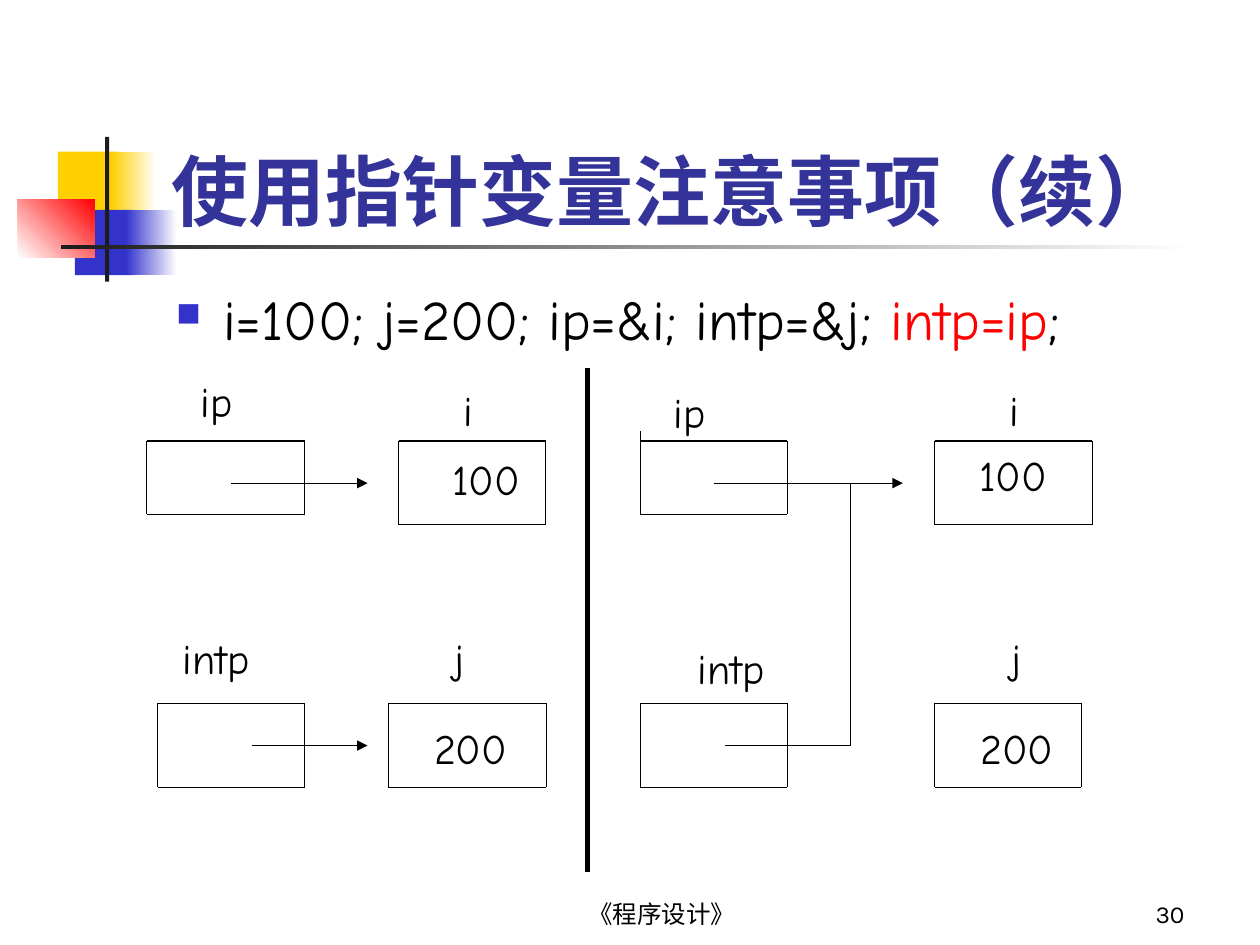
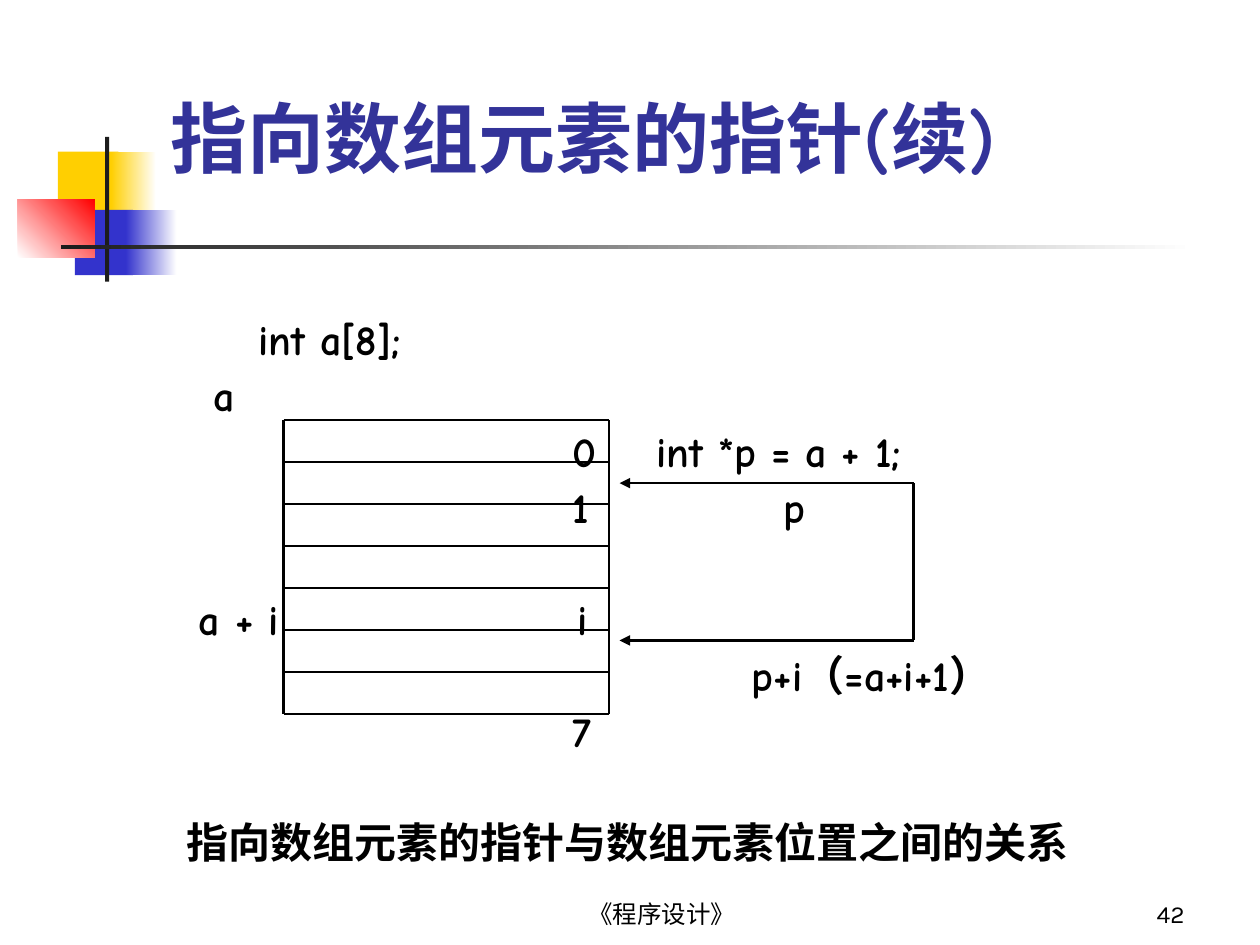
from dataclasses import dataclass

from lxml import etree
from pptx import Presentation
from pptx.dml.color import RGBColor
from pptx.enum.shapes import MSO_CONNECTOR, MSO_SHAPE
from pptx.enum.text import MSO_ANCHOR, PP_ALIGN
from pptx.oxml.ns import qn
from pptx.slide import Slide
from pptx.text.text import _Paragraph as Paragraph
from pptx.util import Cm, Pt

RECTANGLE = MSO_SHAPE.RECTANGLE
STRAIGHT = MSO_CONNECTOR.STRAIGHT
TOP, BOTTOM = MSO_ANCHOR.TOP, MSO_ANCHOR.BOTTOM
LEFT, CENTER, RIGHT = PP_ALIGN.LEFT, PP_ALIGN.CENTER, PP_ALIGN.RIGHT

BLACK = RGBColor(0x00, 0x00, 0x00)
WHITE = RGBColor(0xFF, 0xFF, 0xFF)
INK = RGBColor(0x1C, 0x1C, 0x1C)
YELLOW = RGBColor(0xFF, 0xCF, 0x01)
BLUE = RGBColor(0x33, 0x33, 0xCC)
RED = RGBColor(0xFF, 0x00, 0x00)
TITLE_BLUE = RGBColor(0x33, 0x33, 0x99)

CODE_FONT = "Comic Neue"
CHINESE_FONT = "Noto Sans CJK SC"
FOOTER_FONT = "Karla"
TITLE_ONLY = 5


# All positions and lengths below are in centimetres.
@dataclass(frozen=True)
class Box:
    left: float
    top: float
    width: float
    height: float


@dataclass(frozen=True)
class Band:
    box: Box
    start: RGBColor
    end: RGBColor | None = None
    angle: int = 0


@dataclass(frozen=True)
class Label:
    text: str
    left: float
    top: float
    width: float


@dataclass(frozen=True)
class Line:
    x1: float
    y1: float
    x2: float
    y2: float
    arrow: bool = False
    weight: float = 0.75


@dataclass(frozen=True)
class TextStyle:
    size: float = 24
    font: str = CODE_FONT
    color: RGBColor = BLACK
    bold: bool = False
    align: PP_ALIGN = LEFT
    anchor: MSO_ANCHOR = TOP


CODE = TextStyle()
BOLD_CODE = TextStyle(bold=True)
CAPTION = TextStyle(font=CHINESE_FONT, bold=True)

BANDS = [
    Band(Box(1.17, 3.06, 1.22, 1.32), YELLOW),
    Band(Box(2.24, 3.06, 0.91, 1.32), YELLOW, WHITE),
    Band(Box(1.51, 4.23, 1.17, 1.32), BLUE),
    Band(Box(2.54, 4.23, 1.02, 1.32), BLUE, WHITE),
    Band(Box(0.36, 4.02, 1.55, 1.17), WHITE, RED, 45),
    Band(Box(2.12, 2.76, 0.08, 2.92), INK),
    Band(Box(1.23, 4.94, 22.86, 0.09), INK, WHITE),
]


def place(shape, box: Box) -> None:
    shape.left, shape.top = Cm(box.left), Cm(box.top)
    shape.width, shape.height = Cm(box.width), Cm(box.height)


def style_paragraph(paragraph: Paragraph, style: TextStyle) -> None:
    paragraph.alignment = style.align
    font = paragraph.font
    font.name, font.size, font.bold = style.font, Pt(style.size), style.bold
    font.color.rgb = style.color


def fill_text(shape, text: str, style: TextStyle) -> None:
    frame = shape.text_frame
    frame.word_wrap = True
    frame.vertical_anchor = style.anchor
    paragraph = frame.paragraphs[0]
    paragraph.text = text
    style_paragraph(paragraph, style)


def add_text(slide: Slide, text: str, box: Box, style: TextStyle) -> None:
    shape = slide.shapes.add_textbox(0, 0, 0, 0)
    place(shape, box)
    fill_text(shape, text, style)


def add_label(slide: Slide, label: Label, style: TextStyle = CODE) -> None:
    add_text(slide, label.text, Box(label.left, label.top, label.width, 1.27), style)


def add_band(slide: Slide, band: Band) -> None:
    shape = slide.shapes.add_shape(RECTANGLE, 0, 0, 0, 0)
    place(shape, band.box)
    shape.shadow.inherit = False
    shape.line.fill.background()
    if band.end is None:
        shape.fill.solid()
        shape.fill.fore_color.rgb = band.start
        return
    shape.fill.gradient()
    shape.fill.gradient_angle = band.angle
    for stop, color in zip(shape.fill.gradient_stops, (band.start, band.end)):
        stop.color.rgb = color


def add_line(slide: Slide, line: Line) -> None:
    connector = slide.shapes.add_connector(
        STRAIGHT, Cm(line.x1), Cm(line.y1), Cm(line.x2), Cm(line.y2))
    connector.line.color.rgb = BLACK
    connector.line.width = Pt(line.weight)
    if line.arrow:
        outline = connector.line._get_or_add_ln()
        etree.SubElement(outline, qn("a:tailEnd"), type="triangle")
    etree.SubElement(connector._element.spPr, qn("a:effectLst"))


def add_cell(slide: Slide, box: Box, overshoot: float = 0) -> None:
    """Draw a cell side by side; its left side may rise above the top."""
    right, bottom = box.left + box.width, box.top + box.height
    for side in (Line(box.left, box.top, right, box.top),
                 Line(right, box.top, right, bottom),
                 Line(right, bottom, box.left, bottom),
                 Line(box.left, bottom, box.left, box.top - overshoot)):
        add_line(slide, side)


def add_bullet(paragraph: Paragraph) -> None:
    properties = paragraph._p.get_or_add_pPr()
    properties.set("marL", str(Cm(0.95)))
    properties.set("indent", str(Cm(-0.95)))
    color = etree.SubElement(properties, qn("a:buClr"))
    etree.SubElement(color, qn("a:srgbClr"), val=str(BLUE))
    etree.SubElement(properties, qn("a:buSzPct"), val="60000")
    # The letter n is a filled square in Wingdings
    etree.SubElement(properties, qn("a:buFont"), typeface="Wingdings", charset="2")
    etree.SubElement(properties, qn("a:buChar"), char="n")


def add_slide(presentation, title: str, title_box: Box, style: TextStyle,
              number: int) -> Slide:
    """Add a slide with the shared bands, title and footer."""
    slide = presentation.slides.add_slide(presentation.slide_layouts[TITLE_ONLY])
    for band in BANDS:
        add_band(slide, band)
    place(slide.shapes.title, title_box)
    fill_text(slide.shapes.title, title, style)
    for text, left, width, align in (("《程序设计》", 9.32, 8.05, CENTER),
                                     (str(number), 18.84, 5.29, RIGHT)):
        add_text(slide, text, Box(left, 17.57, width, 1.27),
                 TextStyle(14, FOOTER_FONT, align=align, anchor=BOTTOM))
    return slide


def build_pointer_assignment(presentation) -> None:
    style = TextStyle(44, CHINESE_FONT, TITLE_BLUE, True, anchor=BOTTOM)
    slide = add_slide(presentation, "使用指针变量注意事项（续）",
                      Box(3.2, 1.7, 21.64, 3.18), style, 30)

    # Statements, with the pointer assignment in red
    statement = slide.shapes.add_textbox(0, 0, 0, 0)
    place(statement, Box(3.3, 5.61, 21.59, 11.43))
    statement.text_frame.word_wrap = True
    paragraph = statement.text_frame.paragraphs[0]
    add_bullet(paragraph)
    style_paragraph(paragraph, TextStyle(32))
    for text, color in (("i=100; j=200; ip=&i; intp=&j; ", BLACK),
                        ("intp=ip", RED), (";", BLACK)):
        run = paragraph.add_run()
        run.text = text
        run.font.color.rgb = color

    # Memory cells: before on the left, after on the right
    upper, lower = 8.89, 14.18
    for cell in (
        Box(2.96, upper, 3.18, 1.48), Box(8.04, upper, 2.96, 1.69),
        Box(18.84, upper, 3.18, 1.69),
        Box(3.18, lower, 2.96, 1.69), Box(7.83, lower, 3.18, 1.69),
        Box(12.91, lower, 2.96, 1.69), Box(18.84, lower, 2.96, 1.69),
    ):
        add_cell(slide, cell)
    add_cell(slide, Box(12.91, upper, 2.96, 1.48), overshoot=0.21)

    # Pointers and the divider
    upper_arrow, lower_arrow, join = 9.74, 15.03, 17.15
    for line in (
        Line(4.66, upper_arrow, 7.41, upper_arrow, arrow=True),
        Line(14.39, upper_arrow, 18.2, upper_arrow, arrow=True),
        Line(5.08, lower_arrow, 7.41, lower_arrow, arrow=True),
        Line(14.61, lower_arrow, join, lower_arrow),
        Line(join, lower_arrow, join, upper_arrow),
        Line(11.85, 7.41, 11.85, 17.57, weight=3),
    ):
        add_line(slide, line)

    # Names and values
    for label in (
        Label("ip", 3.8, 7.44, 1.25), Label("ip", 13.33, 7.66, 1.25),
        Label("i", 9.09, 7.62, 0.8), Label("i", 20.11, 7.62, 0.8),
        Label("100", 8.87, 9.02, 2), Label("100", 19.49, 8.93, 2),
        Label("intp", 3.43, 12.62, 2), Label("intp", 13.82, 12.83, 2),
        Label("j", 8.92, 12.62, 0.8), Label("j", 20.14, 12.62, 0.8),
        Label("200", 8.5, 14.44, 2.1), Label("200", 19.51, 14.44, 2.1),
    ):
        add_label(slide, label)


def build_array_pointer(presentation) -> None:
    style = TextStyle(44, CODE_FONT, TITLE_BLUE, True)
    slide = add_slide(presentation, "指向数组元素的指针(续)",
                      Box(3.18, 1.7, 19.25, 2.11), style, 42)

    # Array cells: evenly spaced rules between two sides
    left, right, top, bottom, cell_count = 5.72, 12.28, 8.47, 14.39, 7
    for index in range(cell_count + 1):
        y = top + index * (bottom - top) / cell_count
        add_line(slide, Line(left, y, right, y, weight=1.5))
    for x in (left, right):
        add_line(slide, Line(x, top, x, bottom, weight=1.5))

    # Pointer from p to p+i
    first, last, tip, bend = 9.74, 12.91, 12.49, 18.42
    for line in (Line(bend, first, tip, first, True, 1.5),
                 Line(bend, first, bend, last, weight=1.5),
                 Line(bend, last, tip, last, True, 1.5)):
        add_line(slide, line)

    # Code labels on evenly spaced text rows
    first_row, row_height = 6.19, 1.13
    for text, start, row, width in (
        ("int a[8];", 4.96, 0, 5), ("a", 4.06, 1, 1.5),
        ("0", 11.3, 2, 1.2), ("int *p = a + 1;", 12.99, 2, 7),
        ("1", 11.3, 3, 1.2), ("p", 15.54, 3, 1.2),
        ("a + i", 3.76, 5, 2.6), ("i", 11.4, 5, 1),
        ("p+i（=a+i+1）", 14.91, 6, 8), ("7", 11.3, 7, 1.2),
    ):
        add_label(slide, Label(text, start, first_row + row * row_height, width),
                  BOLD_CODE)
    add_label(slide, Label("指向数组元素的指针与数组元素位置之间的关系",
                           3.51, 16.33, 20), CAPTION)


def main() -> None:
    presentation = Presentation()
    presentation.slide_width, presentation.slide_height = Cm(25.4), Cm(19.05)
    build_pointer_assignment(presentation)
    build_array_pointer(presentation)
    presentation.save("out.pptx")


if __name__ == "__main__":
    main()
